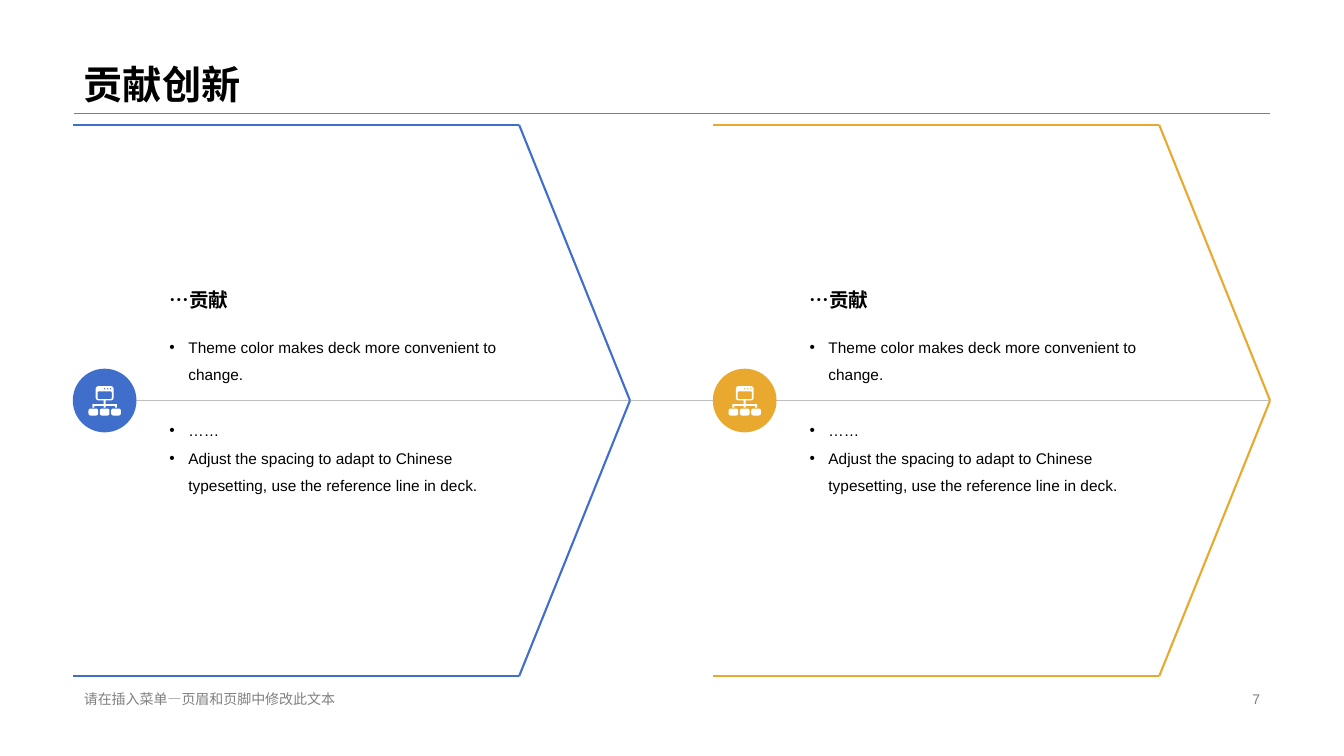
from math import cos, pi, sin
from lxml.etree import SubElement
from pptx import Presentation
from pptx.dml.color import RGBColor
from pptx.enum.shapes import MSO_CONNECTOR, MSO_SHAPE
from pptx.enum.text import MSO_ANCHOR, PP_ALIGN
from pptx.oxml.ns import qn
from pptx.util import Pt

COLORS = {"blue": "3F6ECB", "gold": "E9A92F", "black": "000000", "white": "FFFFFF",
          "gray": "808080", "light": "BFBFBF"}
TITLE = "贡献创新"
FOOTER = "请在插入菜单—页眉和页脚中修改此文本"
PAGE = "7"
BULLETS = [
    ("Theme color makes deck more convenient to change.", 19.8),
    ("……", 0),
    ("Adjust the spacing to adapt to Chinese typesetting, use the reference line in deck.", 0),
]
PANELS = [("…贡献", BULLETS, "blue"), ("…贡献", BULLETS, "gold")]

LEFT, RIGHT, STEP = 52, 907.2, 457.2
TOP, MID, BOTTOM = 89.2, 286.1, 483
SHOULDER, TIP = 318.8, 398
DISC = 45.5
TREE_HALF = [(0.7, -0.1), (0.7, 2.6), (8.8, 2.6), (8.8, 5), (7.4, 5), (7.4, 3.8), (0.7, 3.8), (0.7, 5)]


def rgb(name):
    return RGBColor.from_string(COLORS[name])


def add_line(s, x1, y1, x2, y2, color, width):
    c = s.shapes.add_connector(MSO_CONNECTOR.STRAIGHT, Pt(x1), Pt(y1), Pt(x2), Pt(y2))
    c.line.color.rgb = rgb(color)
    c.line.width = Pt(width)
    SubElement(c._element.spPr, qn("a:effectLst"))


def add_box(s, x, y, w, h, anchor):
    tf = s.shapes.add_textbox(Pt(x), Pt(y), Pt(w), Pt(h)).text_frame
    tf.word_wrap = True
    tf.vertical_anchor = anchor
    return tf


def add_run(p, text, size, color="black", bold=False):
    r = p.add_run()
    r.text = text
    r.font.name = "Arial"
    r.font.size = Pt(size)
    r.font.bold = bold
    r.font.color.rgb = rgb(color)


def paint(sp, color):
    sp.shadow.inherit = False
    sp.fill.solid()
    sp.fill.fore_color.rgb = rgb(color)
    sp.line.fill.background()


def round_rect(cx, cy, w, h, radius):
    points = []
    for k, (sx, sy) in enumerate([(1, 1), (-1, 1), (-1, -1), (1, -1)]):
        for i in range(5):
            a = (k + i / 4) * pi / 2
            points.append((cx + sx * (w / 2 - radius) + radius * cos(a),
                           cy + sy * (h / 2 - radius) + radius * sin(a)))
    return points


def icon_outlines():
    tree = TREE_HALF + [(-x, y) for x, y in reversed(TREE_HALF)]
    window = [round_rect(0, -5.2, 12.8, 10.2, 2), round_rect(0, -3.8, 10.2, 5.6, 1)]
    dots = [round_rect(2.15 * i, -8.4, 1.1, 1.1, 0.55) for i in range(3)]
    nodes = [round_rect(8.1 * i, 8.2, 6.9, 5, 1.5) for i in (-1, 0, 1)]
    return window + dots + nodes + [tree]


def add_icon(s, cx, cy):
    outlines = [[(Pt(cx + x), Pt(cy + y)) for x, y in o] for o in icon_outlines()]
    fb = s.shapes.build_freeform(*outlines[0][0], scale=1.0)
    for i, points in enumerate(outlines):
        if i:
            fb.move_to(*points[0])
        fb.add_line_segments(points[1:], close=True)
    paint(fb.convert_to_shape(), "white")


def add_bullets(s, x, bullets):
    tf = add_box(s, x, 231.1, 259.2, 189.4, MSO_ANCHOR.TOP)
    for i, (text, gap) in enumerate(bullets):
        p = tf.add_paragraph() if i else tf.paragraphs[0]
        p.line_spacing = 1.5
        p.space_after = Pt(gap)
        pPr = p._p.get_or_add_pPr()
        pPr.set("marL", str(Pt(13.5)))
        pPr.set("indent", str(-Pt(13.5)))
        SubElement(pPr, qn("a:buFont")).set("typeface", "Arial")
        SubElement(pPr, qn("a:buChar")).set("char", "•")
        add_run(p, text, 11)


def add_panel(s, x, heading, bullets, color):
    for y in (TOP, BOTTOM):
        add_line(s, x + TIP, MID, x + SHOULDER, y, color, 1.5)
        add_line(s, x + SHOULDER, y, x, y, color, 1.5)
    add_bullets(s, x + 62, bullets)
    tf = add_box(s, x + 62, 196.6, 259.2, 34.5, MSO_ANCHOR.MIDDLE)
    add_run(tf.paragraphs[0], heading, 14, bold=True)
    disc = s.shapes.add_shape(MSO_SHAPE.OVAL, Pt(x), Pt(MID - DISC / 2), Pt(DISC), Pt(DISC))
    paint(disc, color)
    add_icon(s, x + DISC / 2, MID)


def main():
    prs = Presentation()
    prs.slide_width, prs.slide_height = Pt(960), Pt(540)
    s = prs.slides.add_slide(prs.slide_layouts[6])

    add_line(s, 52.8, 81, RIGHT, 81, "gray", 0.25)
    p = add_box(s, 52.8, 0, 854.4, 81, MSO_ANCHOR.BOTTOM).paragraphs[0]
    p.line_spacing = 0.9
    add_run(p, TITLE, 28, bold=True)
    p = add_box(s, 52.8, 491, 326, 16.3, MSO_ANCHOR.MIDDLE).paragraphs[0]
    add_run(p, FOOTER, 10, "gray")
    p = add_box(s, 678.2, 491, 229, 16.3, MSO_ANCHOR.MIDDLE).paragraphs[0]
    p.alignment = PP_ALIGN.RIGHT
    add_run(p, PAGE, 10, "gray")

    add_line(s, LEFT, MID, RIGHT, MID, "light", 0.25)
    for i, (heading, bullets, color) in enumerate(PANELS):
        add_panel(s, LEFT + i * STEP, heading, bullets, color)

    prs.save("out.pptx")


if __name__ == "__main__":
    main()
